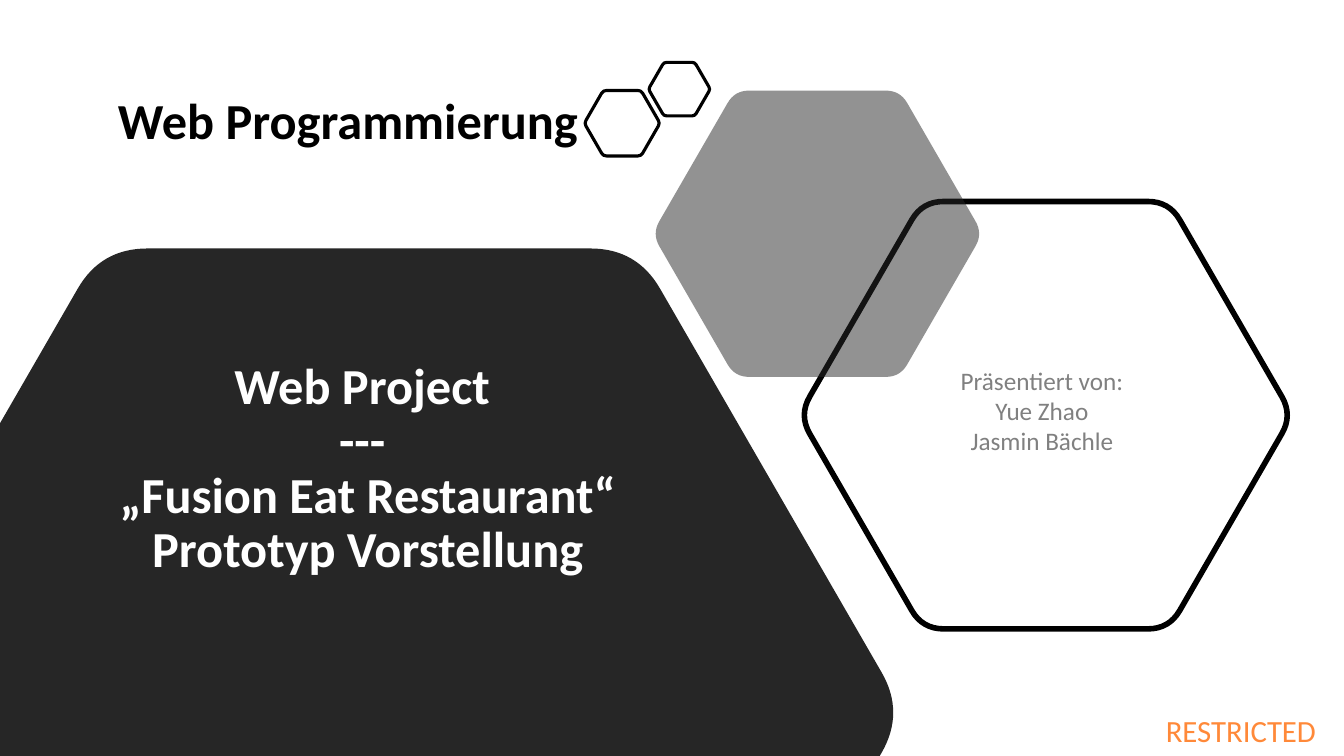
from math import dist, sqrt

from lxml import etree
from pptx import Presentation
from pptx import util as u
from pptx.dml.color import RGBColor
from pptx.enum import text
from pptx.oxml import ns

WIDTH, HEIGHT = 960, 540
COLOURS = {"dark": "262626", "black": "000000", "white": "FFFFFF",
           "grey": "808080", "orange": "FF8939"}


def hexagon_corners(cx, cy, height):
    half_side, half_height = height / sqrt(12), height / 2
    right = [(2 * half_side, 0), (half_side, half_height), (-half_side, half_height)]
    return [(cx + x, cy + y) for x, y in right + [(-x, -y) for x, y in right]]


def clip(points, axis, limit, sign):
    """Keep the part of the polygon where sign * (coordinate - limit) >= 0."""
    kept = []
    for a, b in zip(points[-1:] + points[:-1], points):
        side_a, side_b = (sign * (p[axis] - limit) for p in (a, b))
        if side_a * side_b < 0:
            kept.append(towards(a, b, side_a / (side_a - side_b)))
        if side_b >= 0:
            kept.append(b)
    return kept


def towards(a, b, share):
    return tuple(m + (n - m) * share for m, n in zip(a, b))


class HexagonSlide:
    font = "Calibri"

    def __init__(self, presentation):
        self.shapes = presentation.slides.add_slide(presentation.slide_layouts[6]).shapes

    def hexagon(self, cx, cy, height, fill=None, opacity=None, line_width=None):
        """Rounded hexagon, cut off at the left and bottom slide edges."""
        corners = hexagon_corners(cx, cy, height)
        visible = clip(clip(corners, 0, 0, 1), 1, HEIGHT, -1)
        outline, curves = [], []
        for i, corner in enumerate(visible):
            if corner not in corners:
                outline.append(corner)
                continue
            start, end = (towards(corner, near, 0.05 * height / dist(corner, near))
                          for near in (visible[i - 1], visible[(i + 1) % len(visible)]))
            curves.append(len(outline) + 1)
            outline += [start, towards(start, corner, 2 / 3),
                        towards(end, corner, 2 / 3), end]

        points = [(u.Pt(x), u.Pt(y)) for x, y in outline]
        builder = self.shapes.build_freeform(*points[0])
        builder.add_line_segments(points[1:], close=True)
        shape = builder.convert_to_shape()
        self.round_corners(shape, curves)
        shape.shadow.inherit = False
        if fill:
            shape.fill.solid()
            shape.fill.fore_color.rgb = RGBColor.from_string(COLOURS[fill])
        else:
            shape.fill.background()
        if opacity:
            colour = shape.fill._xPr.find(".//" + ns.qn("a:srgbClr"))
            etree.SubElement(colour, ns.qn("a:alpha"), val=str(opacity * 1000))
        if line_width:
            shape.line.color.rgb = RGBColor.from_string(COLOURS["black"])
            shape.line.width = u.Pt(line_width)
        else:
            shape.line.fill.background()
        return shape

    def round_corners(self, shape, curves):
        """Merge the three segments from each curve index into one Bezier."""
        segments = list(shape._element.find(".//" + ns.qn("a:path")))
        for first in curves:
            bezier = etree.Element(ns.qn("a:cubicBezTo"))
            segments[first].addprevious(bezier)
            for segment in segments[first:first + 3]:
                bezier.append(segment[0])
                segment.getparent().remove(segment)

    def label(self, box, paragraphs, size, colour, bold=False,
              align=text.PP_ALIGN.CENTER, spacing=1.0, **frame_format):
        frame = self.shapes.add_textbox(*map(u.Pt, box)).text_frame
        for name, value in {"word_wrap": True, **frame_format}.items():
            setattr(frame, name, value)
        frame.text = "\n".join(paragraphs)
        for paragraph in frame.paragraphs:
            paragraph.alignment = align
            paragraph.line_spacing = spacing
            for run in paragraph.runs:
                style = {"name": self.font, "size": u.Pt(size), "bold": bold}
                for name, value in style.items():
                    setattr(run.font, name, value)
                run.font.color.rgb = RGBColor.from_string(COLOURS[colour])


def main():
    presentation = Presentation()
    presentation.slide_width, presentation.slide_height = u.Pt(WIDTH), u.Pt(HEIGHT)
    slide = HexagonSlide(presentation)

    slide.label((812.4, 503.3, 147.6, 36.7), ["RESTRICTED"], 22, "orange",
                align=text.PP_ALIGN.RIGHT, vertical_anchor=text.MSO_ANCHOR.MIDDLE,
                margin_left=0, margin_right=u.Pt(20), margin_top=0, margin_bottom=0)

    slide.hexagon(263.5, 509, 663, fill="dark")
    slide.hexagon(747, 296.6, 305.3, line_width=4)
    slide.hexagon(583.9, 167, 204.5, fill="dark", opacity=50)
    small_pair = [slide.hexagon(*place, line_width=2.25)
                  for place in ((444.4, 88, 46.8), (485.3, 63.7, 38.2))]
    slide.shapes.add_group_shape(small_pair)

    slide.label((14.4, 178.6, 496.8, 361.4),
                ["Web Project \v--- \v„Fusion Eat Restaurant“ Prototyp Vorstellung"],
                36, "white", bold=True, spacing=0.9, margin_top=u.Pt(79.1))
    slide.label((77.2, 59.8, 344.9, 51.1), ["Web Programmierung"], 36, "black",
                bold=True, align=text.PP_ALIGN.LEFT)
    slide.label((594.7, 257.2, 303.1, 72.7),
                ["Präsentiert von: ", "Yue Zhao ", "Jasmin Bächle "], 18, "grey")

    presentation.save("out.pptx")


if __name__ == "__main__":
    main()
